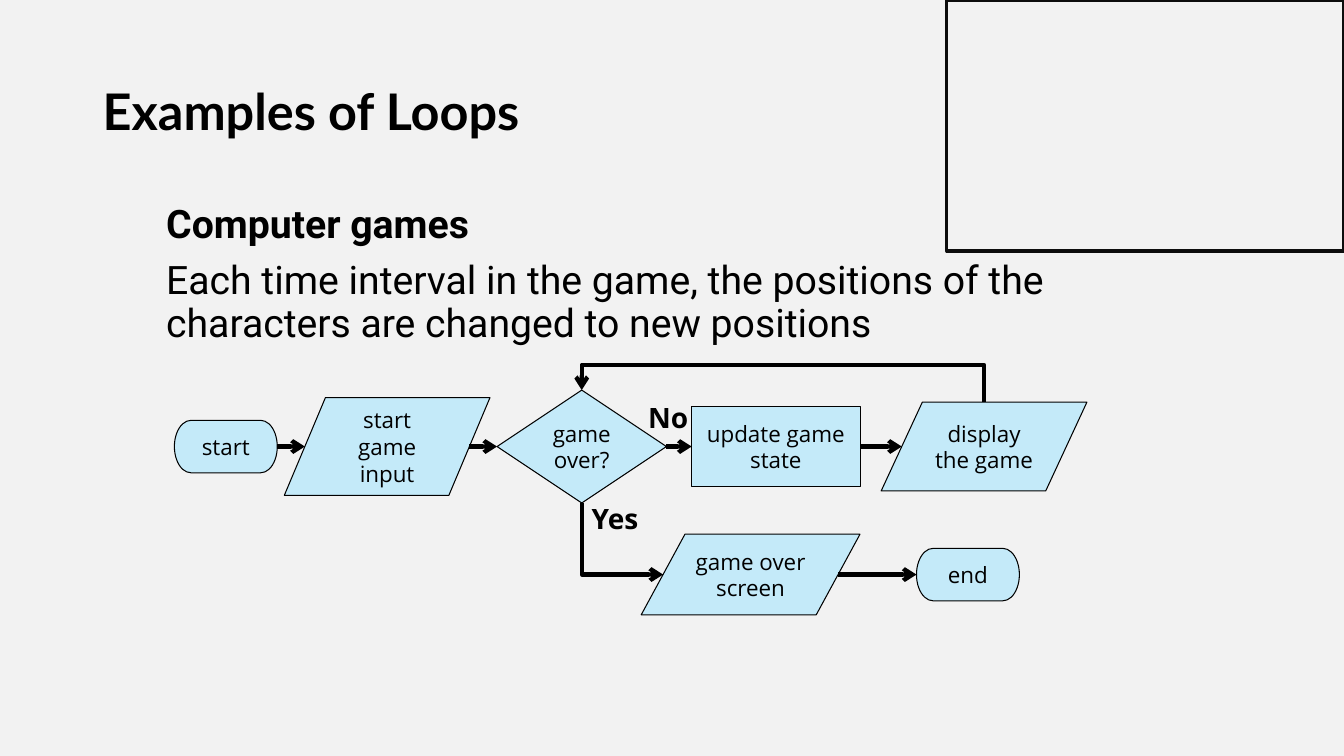
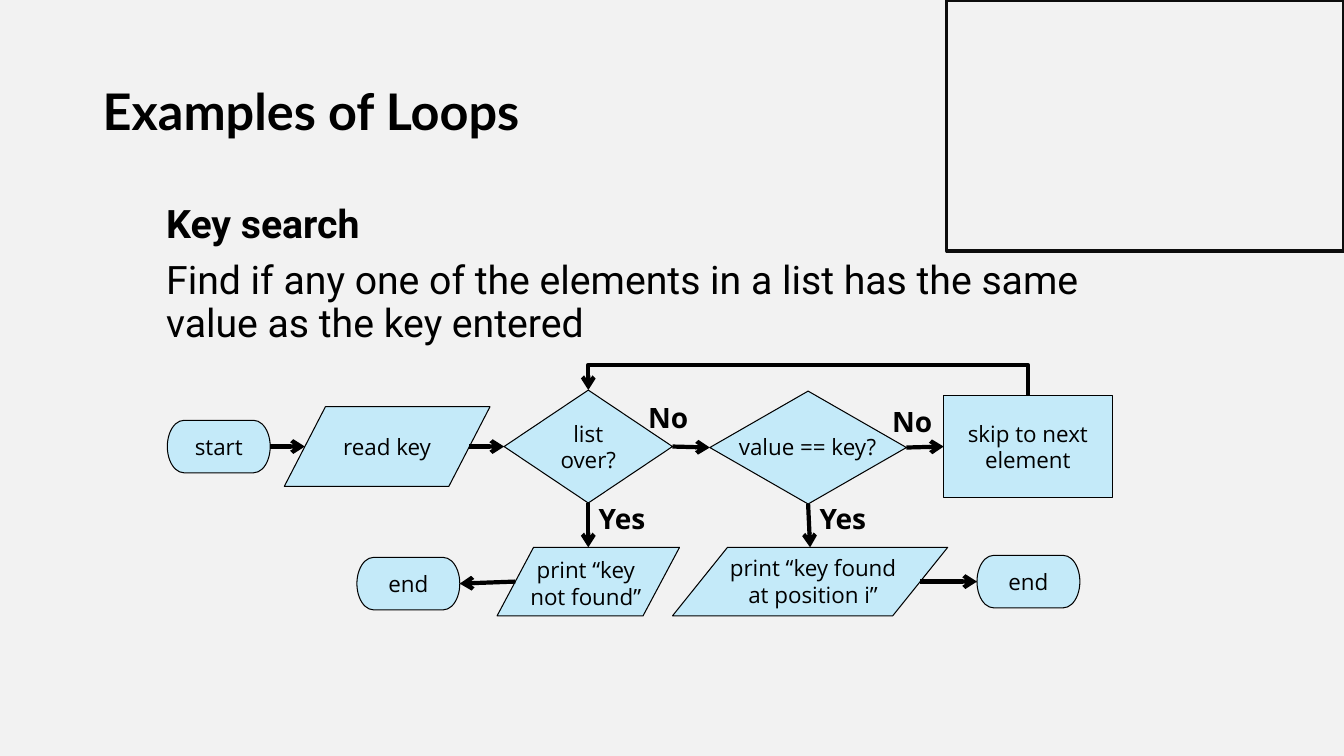
from pptx import Presentation
from pptx.dml.color import RGBColor
from pptx.enum.shapes import MSO_CONNECTOR, MSO_SHAPE
from pptx.enum.text import MSO_ANCHOR, PP_ALIGN
from pptx.oxml.ns import qn
from pptx.util import Inches, Pt
from lxml.etree import SubElement

BLACK = RGBColor(0x00, 0x00, 0x00)
DARK = RGBColor(0x0D, 0x0D, 0x0D)
GREY = RGBColor(0xF2, 0xF2, 0xF2)
SKY = RGBColor(0xC4, 0xEA, 0xF9)

TERM = MSO_SHAPE.FLOWCHART_TERMINATOR
DATA = MSO_SHAPE.FLOWCHART_DATA
TEST = MSO_SHAPE.FLOWCHART_DECISION
STEP = MSO_SHAPE.FLOWCHART_PROCESS
PILL = (1.02, 0.52)
ROW = 4.43
LOOP_TOP = 3.62


def write(shape, text, size=16, font="Open Sans", bold=False, align=PP_ALIGN.LEFT,
          anchor=MSO_ANCHOR.TOP, lead=None, gap=None):
    """Add a paragraph; the first call fills the empty one."""
    frame = shape.text_frame
    frame.word_wrap = True
    frame.vertical_anchor = anchor
    para = frame.add_paragraph() if frame.text else frame.paragraphs[0]
    para.alignment = align
    para.line_spacing = lead
    para.space_before = gap
    run = para.add_run()
    run.text = text
    run.font.size = Pt(size)
    run.font.name = font
    run.font.bold = bold
    run.font.color.rgb = BLACK


def box(slide, left, top, width, height):
    return slide.shapes.add_textbox(*map(Inches, (left, top, width, height)))


def label(slide, text, left, top):
    write(box(slide, left, top, 0.77, 0.42), text, size=20, bold=True)


def note(slide, text, left, top, width, height, **style):
    write(box(slide, left, top, width, height), text, **style)


def outline(slide, kind, left, top, width, height, ink, weight):
    shape = slide.shapes.add_shape(kind, *map(Inches, (left, top, width, height)))
    shape.shadow.inherit = False
    shape.fill.background()
    shape.line.color.rgb = ink
    shape.line.width = Pt(weight)
    return shape


def node(slide, kind, text, left, width, height, mid=ROW):
    """Draw a flowchart symbol centred on the height mid."""
    weight = 0.5 if kind == STEP else 0.75
    shape = outline(slide, kind, left, mid - height / 2, width, height, BLACK, weight)
    shape.fill.solid()
    shape.fill.fore_color.rgb = SKY
    if text:
        write(shape, text, align=PP_ALIGN.CENTER, anchor=MSO_ANCHOR.MIDDLE)
    return shape


def port(shape, side):
    """Point where a line meets a symbol; slanted sides lie a tenth inside."""
    inset = shape.width // 10 if shape.auto_shape_type == DATA else 0
    right, low = shape.left + shape.width, shape.top + shape.height
    mid_x, mid_y = shape.left + shape.width // 2, shape.top + shape.height // 2
    return {"left": (shape.left + inset, mid_y), "right": (right - inset, mid_y),
            "top": (mid_x, shape.top), "bottom": (mid_x, low)}[side]


def wire(slide, kind, start, end):
    line = slide.shapes.add_connector(kind, *start, *end)
    line.line.color.rgb = BLACK
    line.line.width = Pt(3)
    props = line._element.spPr
    SubElement(props.find(qn("a:ln")), qn("a:tailEnd"), type="arrow")
    SubElement(props, qn("a:effectLst"))
    return line


def link(slide, first, last, out="right", into="left"):
    wire(slide, MSO_CONNECTOR.STRAIGHT, port(first, out), port(last, into))


def chain(slide, *nodes):
    for first, last in zip(nodes, nodes[1:]):
        link(slide, first, last)


def bend(slide, start, end, preset, flip):
    """Elbow that leaves upright: a flipped box turned by 270 degrees."""
    wide, high = abs(end[1] - start[1]), abs(end[0] - start[0])
    left = (start[0] + end[0] - wide) // 2
    top = (start[1] + end[1] - high) // 2
    line = wire(slide, MSO_CONNECTOR.ELBOW, (left, top), (left + wide, top + high))
    props = line._element.spPr
    frame = props.find(qn("a:xfrm"))
    frame.set("rot", str(270 * 60000))
    frame.set(flip, "1")
    shape = props.find(qn("a:prstGeom"))
    shape.set("prst", preset)
    return shape


def loop(slide, first, last):
    """Lead back over the row from the top of first to the top of last."""
    start, end = port(first, "top"), port(last, "top")
    shape = bend(slide, start, end, "bentConnector3", "flipV")
    ratio = (start[1] - Inches(LOOP_TOP)) / (start[1] - end[1])
    guides = shape.find(qn("a:avLst"))
    if guides is None:
        guides = SubElement(shape, qn("a:avLst"))
    SubElement(guides, qn("a:gd"), name="adj1", fmla=f"val {round(ratio * 100000)}")


def page(deck, head, text):
    slide = deck.slides.add_slide(deck.slide_layouts[6])
    slide.background.fill.solid()
    slide.background.fill.fore_color.rgb = GREY
    outline(slide, MSO_SHAPE.RECTANGLE, 9.39, 0, 3.94, 2.49, DARK, 2.25)
    note(slide, "Examples of Loops", 0.92, 0.6, 9.1, 1.07, size=36, font="Lato",
         bold=True, anchor=MSO_ANCHOR.MIDDLE, lead=0.9)
    body = box(slide, 1.55, 1.98, 10.2, 4.13)
    for words, bold in ((head, True), (text, False)):
        write(body, words, size=28, font="Roboto", bold=bold, lead=0.9, gap=Pt(10))
    return slide


def games(deck):
    slide = page(deck, "Computer games", "Each time interval in the game, the positions "
                 "of the characters are changed to new positions")
    low = 5.7
    start = node(slide, TERM, "start", 1.73, *PILL)
    enter = node(slide, DATA, "start game input", 2.82, 2.04, 0.97)
    over = node(slide, TEST, "game over?", 4.93, 1.68, 1.12)
    state = node(slide, STEP, "update game state", 6.86, 1.67, 0.79)
    show = node(slide, DATA, "display the game", 8.74, 2.04, 0.88)
    screen = node(slide, DATA, "game over screen", 6.36, 2.17, 0.8, low)
    end = node(slide, TERM, "end", 9.09, *PILL, low)
    chain(slide, start, enter, over, state, show)
    chain(slide, screen, end)
    bend(slide, port(over, "bottom"), port(screen, "left"), "bentConnector2", "flipH")
    loop(slide, show, over)
    label(slide, "No", 6.33, 3.92)
    label(slide, "Yes", 5.77, 4.93)


def search(deck):
    slide = page(deck, "Key search", "Find if any one of the elements in a list "
                 "has the same value as the key entered")
    low = 5.77
    start = node(slide, TERM, "start", 1.66, *PILL)
    read = node(slide, DATA, "read key", 2.82, 2.04, 0.79)
    over = node(slide, TEST, "list over?", 5, 1.67, 1.12)
    same = node(slide, TEST, "", 7.04, 1.95, 1.12, 4.44)
    skip = node(slide, STEP, "skip to next element", 9.36, 1.67, 1.01)
    lost = node(slide, DATA, "", 4.93, 1.81, 0.68, low)
    found = node(slide, DATA, "", 6.67, 2.73, 0.68, low)
    end_lost = node(slide, TERM, "end", 3.54, *PILL, 5.79)
    end_found = node(slide, TERM, "end", 9.69, *PILL, low)
    chain(slide, start, read, over, same, skip)
    chain(slide, found, end_found)
    link(slide, lost, end_lost, "left", "right")
    link(slide, over, lost, "bottom", "top")
    link(slide, same, found, "bottom", "top")
    loop(slide, skip, over)
    note(slide, "value == key?", 7.23, 4.25, 1.67, 0.37)
    note(slide, "print “key not found”", 5.1, 5.47, 1.42, 0.64, align=PP_ALIGN.CENTER)
    note(slide, "print “key found at position i”", 7.08, 5.45, 1.97, 0.64,
         align=PP_ALIGN.CENTER)
    for text, left, top in (("No", 6.33, 3.92), ("Yes", 5.84, 4.93),
                            ("No", 8.75, 3.96), ("Yes", 8.03, 4.93)):
        label(slide, text, left, top)


def main():
    deck = Presentation()
    deck.slide_width, deck.slide_height = Inches(13.33), Inches(7.5)
    games(deck)
    search(deck)
    deck.save("out.pptx")


if __name__ == "__main__":
    main()
